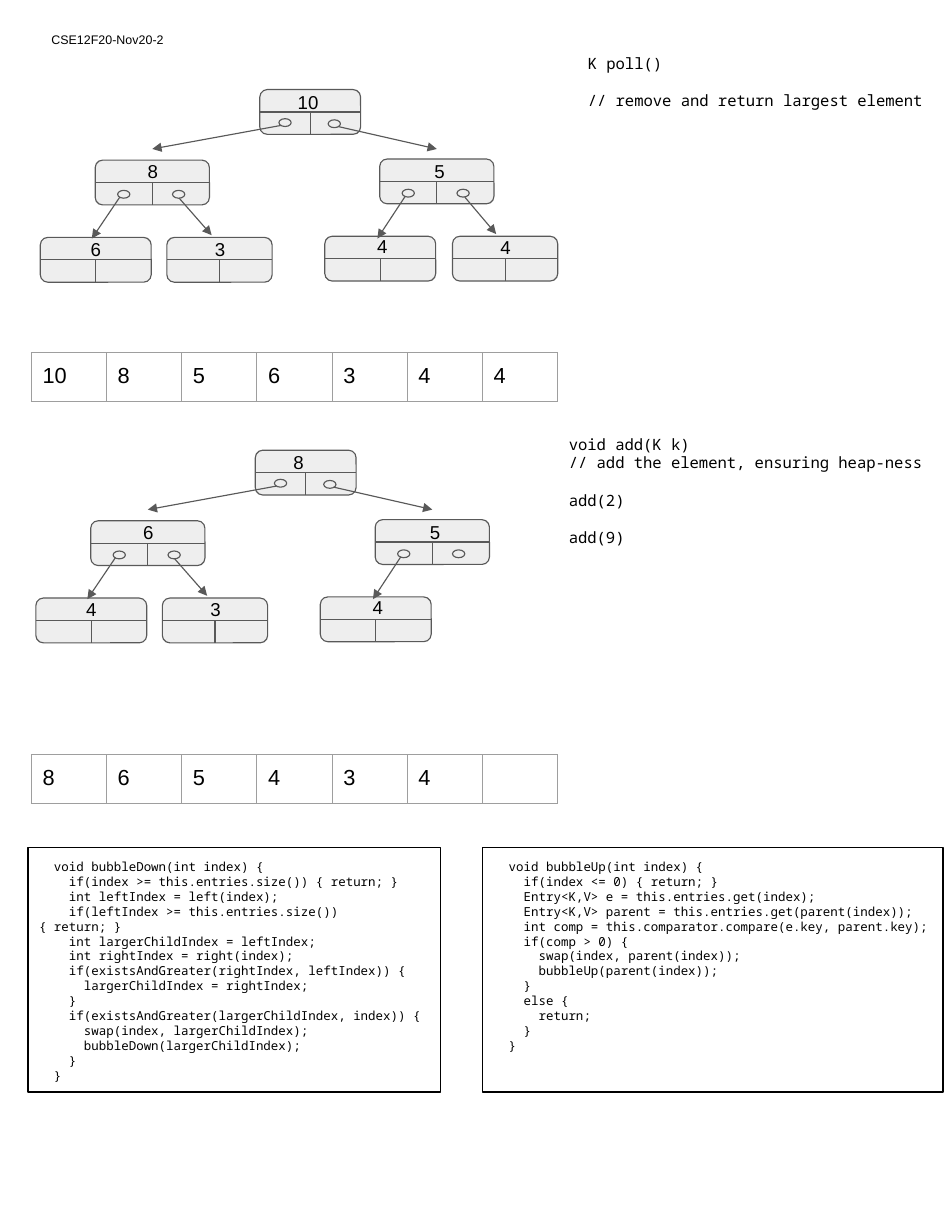
from lxml import etree
from pptx import Presentation
from pptx.dml.color import RGBColor
from pptx.enum.shapes import MSO_CONNECTOR, MSO_SHAPE
from pptx.enum.text import MSO_ANCHOR, PP_ALIGN
from pptx.oxml.ns import qn
from pptx.util import Inches, Pt

STRAIGHT = MSO_CONNECTOR.STRAIGHT
RECT, ROUND, OVAL = MSO_SHAPE.RECTANGLE, MSO_SHAPE.ROUNDED_RECTANGLE, MSO_SHAPE.OVAL
TOP, LEFT = MSO_ANCHOR.TOP, PP_ALIGN.LEFT

THEME = {
    "sans": "Arial", "mono": "Noto Sans Mono",
    "ink": "000000", "node": "EEEEEE", "edge": "595959", "grid": "9E9E9E",
    "small": 8, "note": 10, "key": 12, "cell": 14, "line": 0.75,
}

# Content: each heap is its array, the offset of its tree, and its table top
HEAPS = [
    (["10", "8", "5", "6", "3", "4", "4"], (0, 0), 3.15),
    (["8", "6", "5", "4", "3", "4", ""], (-0.04, 3.22), 6.74),
]
TITLE = ("CSE12F20-Nov20-2", (0.36, 0.22, 1.96, 0.33))
# Notes: each inner list is a block, set apart by one line of space
NOTES = [
    ([["K poll()"], ["// remove and return largest element"]], (5.15, 0.38, 3.26, 0.8)),
    ([["void add(K k)", "// add the element, ensuring heap-ness"], ["add(2)"], ["add(9)"]],
     (4.98, 3.78, 3.68, 0.8)),
]
CODE = [
    ("""  void bubbleDown(int index) {
    if(index >= this.entries.size()) { return; }
    int leftIndex = left(index);
    if(leftIndex >= this.entries.size()) { return; }
    int largerChildIndex = leftIndex;
    int rightIndex = right(index);
    if(existsAndGreater(rightIndex, leftIndex)) {
      largerChildIndex = rightIndex;
    }
    if(existsAndGreater(largerChildIndex, index)) {
      swap(index, largerChildIndex);
      bubbleDown(largerChildIndex);
    }
  }""", (0.25, 7.57, 3.68, 2.18)),
    ("""  void bubbleUp(int index) {
    if(index <= 0) { return; }
    Entry<K,V> e = this.entries.get(index);
    Entry<K,V> parent = this.entries.get(parent(index));
    int comp = this.comparator.compare(e.key, parent.key);
    if(comp > 0) {
      swap(index, parent(index));
      bubbleUp(parent(index));
    }
    else {
      return;
    }
  }""", (4.31, 7.57, 4.11, 2.18)),
]

# Tree layout in level order: node (left, top, width), key box (left, top, width)
NODES = [
    ((2.32, 0.8, 0.9), (2.56, 0.71, 0.42)),
    ((0.85, 1.43, 1.02), (1.22, 1.33, 0.27)),
    ((3.39, 1.42, 1.02), (3.78, 1.33, 0.25)),
    ((0.36, 2.12, 0.99), (0.71, 2.02, 0.29)),
    ((1.49, 2.12, 0.94), (1.82, 2.02, 0.29)),
    ((2.9, 2.11, 0.99), (3.27, 2.0, 0.26)),
    ((4.04, 2.11, 0.94), (4.37, 2.01, 0.27)),
]
# Arrow from the parent to each node in level order; the root has none
ARROWS = [
    None,
    (2.51, 1.12, 1.36, 1.33), (3.02, 1.13, 3.9, 1.33),
    (1.07, 1.76, 0.82, 2.13), (1.6, 1.77, 1.89, 2.1),
    (3.62, 1.75, 3.37, 2.13), (4.15, 1.76, 4.43, 2.09),
]
# Child pockets per inner node; the root's left one lies over its arrow
POCKETS = [(2.93, 1.07)] + [
    (x + dx, y + 0.27) for (x, y, _), _ in NODES[1:3] for dx in (0.2, 0.69)
]
ROOT_LEFT_POCKET = (2.49, 1.06)
NODE_H = 0.4

prs = Presentation()
prs.slide_width, prs.slide_height = Inches(8.5), Inches(11)
s = prs.slides.add_slide(prs.slide_layouts[6])


def rgb(name):
    return RGBColor.from_string(THEME[name])


def write(tf, lines, font, size, gaps=()):
    """Fill a frame with lines; those whose index is in gaps get space before."""
    tf.word_wrap = True
    tf.vertical_anchor = TOP
    tf.margin_left = tf.margin_right = tf.margin_top = tf.margin_bottom = Inches(0.1)
    tf.text = "\n".join(lines)
    for i, p in enumerate(tf.paragraphs):
        p.alignment = LEFT
        if i in gaps:
            p.space_before = Pt(12)
        for r in p.runs:
            r.font.name, r.font.size = THEME[font], Pt(THEME[size])
            r.font.color.rgb = rgb("ink")


def add_text(box, *args):
    write(s.shapes.add_textbox(*map(Inches, box)).text_frame, *args)


def add_box(kind, box, fill, edge):
    sp = s.shapes.add_shape(kind, *map(Inches, box))
    sp.shadow.inherit = False
    if fill:
        sp.fill.solid()
        sp.fill.fore_color.rgb = rgb(fill)
    else:
        sp.fill.background()
    sp.line.color.rgb, sp.line.width = rgb(edge), Pt(THEME["line"])
    return sp


def add_line(x1, y1, x2, y2, arrow=False):
    line = s.shapes.add_connector(STRAIGHT, *map(Inches, (x1, y1, x2, y2)))
    line.line.color.rgb, line.line.width = rgb("edge"), Pt(THEME["line"])
    if arrow:
        etree.SubElement(line.line._get_or_add_ln(), qn("a:tailEnd"), type="triangle")
    etree.SubElement(line._element.spPr, qn("a:effectLst"))


def add_pocket(x, y):
    add_box(OVAL, (x, y, 0.11, 0.07), "node", "edge")


def add_tree(keys, dx, dy):
    live = [i for i, key in enumerate(keys) if key]
    for i in live:
        (x, y, w), (kx, ky, kw) = NODES[i]
        x, y = x + dx, y + dy
        mid = y + NODE_H / 2
        add_box(ROUND, (x, y, w, NODE_H), "node", "edge")
        add_line(x, mid, x + w, mid)
        add_text((kx + dx, ky + dy, kw, 0.4), [keys[i]], "sans", "key")
        add_line(x + w / 2, y + NODE_H, x + w / 2, mid)
    for x, y in POCKETS:
        add_pocket(x + dx, y + dy)
    for i in live[1:]:
        x1, y1, x2, y2 = ARROWS[i]
        add_line(x1 + dx, y1 + dy, x2 + dx, y2 + dy, arrow=True)
    add_pocket(ROOT_LEFT_POCKET[0] + dx, ROOT_LEFT_POCKET[1] + dy)


def add_array(keys, top):
    frame = s.shapes.add_table(1, len(keys), *map(Inches, (0.28, top, 4.7, 0.42)))
    table = frame.table
    table.first_row = table.horz_banding = False
    for cell, key in zip(table.rows[0].cells, keys):
        write(cell.text_frame, [key], "sans", "cell")
        cell.margin_left = cell.margin_right = Inches(0.1)
        cell.margin_top = cell.margin_bottom = Inches(0.1)
        if not key:  # keeps the empty cell from stretching the row
            etree.SubElement(cell.text_frame.paragraphs[0]._p, qn("a:endParaRPr"),
                             sz=str(THEME["cell"] * 100))
        tcPr = cell._tc.get_or_add_tcPr()
        for side in ("lnL", "lnR", "lnT", "lnB"):
            ln = etree.SubElement(tcPr, qn(f"a:{side}"), w=str(Pt(THEME["line"])))
            fill = etree.SubElement(ln, qn("a:solidFill"))
            etree.SubElement(fill, qn("a:srgbClr"), val=THEME["grid"])
        cell.fill.background()


# Title
add_text(TITLE[1], [TITLE[0]], "sans", "small")

# Heaps as trees and arrays
for keys, offset, top in HEAPS:
    add_tree(keys, *offset)
    add_array(keys, top)

# Method notes
for blocks, box in NOTES:
    lines = [line for block in blocks for line in block]
    starts = [sum(map(len, blocks[:i])) for i in range(1, len(blocks))]
    add_text(box, lines, "mono", "note", starts)

# Code panels
for code, box in CODE:
    write(add_box(RECT, box, None, "ink").text_frame, code.split("\n"), "mono", "small")

prs.save("out.pptx")
